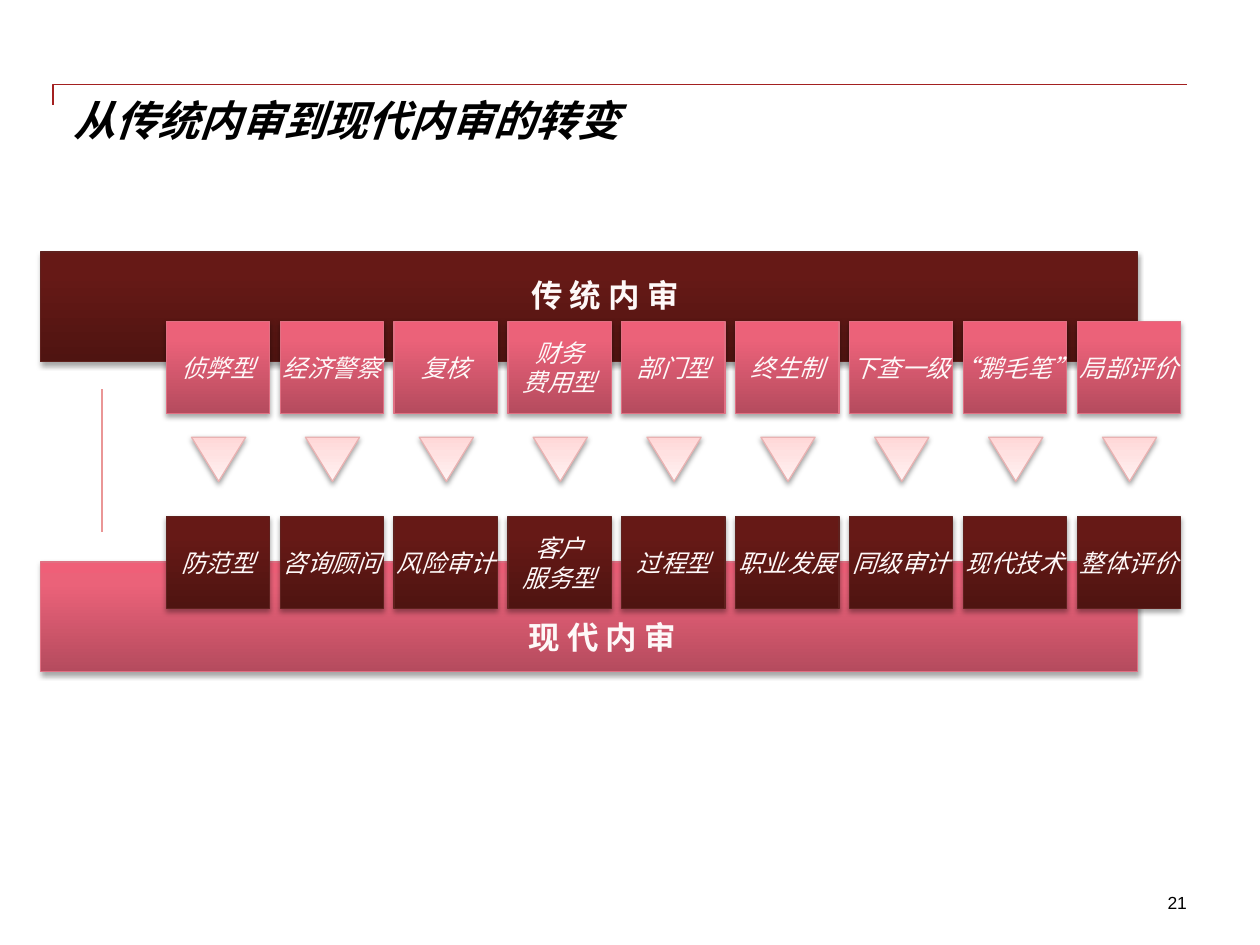
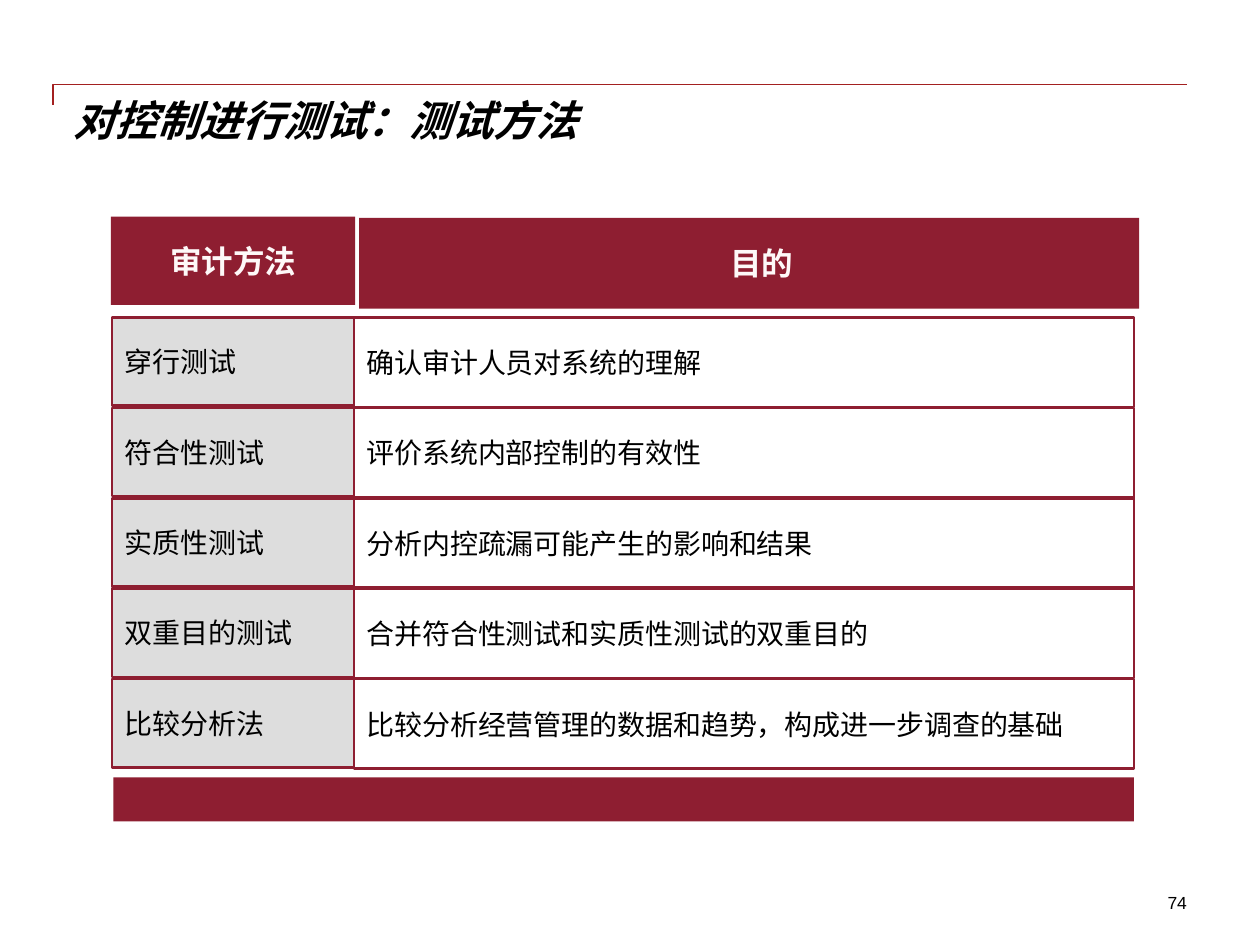
from dataclasses import dataclass

from lxml.etree import SubElement
from pptx import Presentation
from pptx.dml.color import RGBColor
from pptx.enum.shapes import MSO_CONNECTOR as Connector, MSO_SHAPE as Shape
from pptx.enum.text import MSO_ANCHOR as Anchor, PP_ALIGN as Align
from pptx.oxml.ns import qn
from pptx.util import Inches, Pt


@dataclass(frozen=True)
class Gradient:
    stops: tuple
    border: str
    shadow_alpha: int = 35
    shadow_distance: float = 1.8


@dataclass(frozen=True)
class Theme:
    latin: str = "Arial"
    chinese: str = "Noto Sans CJK SC"
    ink: str = "000000"
    pale: str = "FEF8F8"
    rule: str = "A32020"
    divider: str = "EA9696"
    crimson: str = "8E1E31"
    grey: str = "DDDDDD"
    title_size: int = 24
    heading_size: int = 18
    cell_size: int = 16
    card_size: int = 14
    number_size: int = 10
    maroon: Gradient = Gradient(
        ((0, "4F1411"), (80, "661916"), (100, "681814")), "5F211E")
    pink: Gradient = Gradient(
        ((0, "B54B5E"), (80, "EB6279"), (100, "EF5F78")), "E07083")
    blush: Gradient = Gradient(
        ((0, "FFD6D6"), (35, "FFE1E1"), (100, "FFF3F3")), "E9B2B2", 38, 1.6)


THEME = Theme()

TRADITIONAL = ["侦弊型", "经济警察", "复核", "财务\n费用型", "部门型",
               "终生制", "下查一级", "“鹅毛笔”", "局部评价"]
MODERN = ["防范型", "咨询顾问", "风险审计", "客户\n服务型", "过程型",
          "职业发展", "同级审计", "现代技术", "整体评价"]
METHODS = [
    ("穿行测试", "确认审计人员对系统的理解"),
    ("符合性测试", "评价系统内部控制的有效性"),
    ("实质性测试", "分析内控疏漏可能产生的影响和结果"),
    ("双重目的测试", "合并符合性测试和实质性测试的双重目的"),
    ("比较分析法", "比较分析经营管理的数据和趋势，构成进一步调查的基础"),
]


def rgb(color):
    return RGBColor.from_string(color)


def spread(first, last, count):
    return [first + (last - first) * i / (count - 1) for i in range(count)]


def write(frame, text, size, color, font=THEME.chinese, align=Align.LEFT,
          bold=False, italic=False):
    frame.text = text
    for paragraph in frame.paragraphs:
        paragraph.alignment = align
        for run in paragraph.runs:
            run.font.name = font
            run.font.size = Pt(size)
            run.font.bold = bold
            run.font.italic = italic
            run.font.color.rgb = rgb(color)
            if font == THEME.chinese:
                east_asian = SubElement(run.font._element, qn("a:ea"))
                east_asian.set("typeface", font)


def clear_margins(frame):
    frame.margin_left = frame.margin_right = 0
    frame.margin_top = frame.margin_bottom = 0


def add_text(slide, box, text, size, color, **style):
    frame = slide.shapes.add_textbox(*map(Inches, box)).text_frame
    frame.word_wrap = True
    write(frame, text, size, color, **style)
    return frame


def add_block(slide, box, fill=None, border=None, kind=Shape.RECTANGLE):
    block = slide.shapes.add_shape(kind, *map(Inches, box))
    block.shadow.inherit = False
    if fill:
        block.fill.solid()
        block.fill.fore_color.rgb = rgb(fill)
    else:
        block.fill.background()
    if border:
        block.line.color.rgb = rgb(border)
        block.line.width = Pt(1.5)
    else:
        block.line.fill.background()
    return block


def label_block(block, text, size, color, **style):
    frame = block.text_frame
    frame.word_wrap = False
    frame.vertical_anchor = Anchor.MIDDLE
    write(frame, text, size, color, **style)
    return frame


def add_color(parent, color):
    element = SubElement(parent, qn("a:srgbClr"))
    element.set("val", color)
    return element


def add_glossy(slide, box, gradient, kind=Shape.RECTANGLE):
    glossy = add_block(slide, box, kind=kind)
    glossy.fill.gradient()
    glossy.fill.gradient_angle = 90
    properties = glossy._element.spPr
    stops = properties.find(".//" + qn("a:gsLst"))
    stops.clear()
    for position, color in gradient.stops:
        stop = SubElement(stops, qn("a:gs"))
        stop.set("pos", str(position * 1000))
        add_color(stop, color)
    glossy.line.color.rgb = rgb(gradient.border)
    glossy.line.width = Pt(0.75)
    shadow = SubElement(properties.find(qn("a:effectLst")), qn("a:outerShdw"))
    shadow.set("blurRad", str(Pt(3.1)))
    shadow.set("dist", str(Pt(gradient.shadow_distance)))
    shadow.set("dir", "5400000")
    shadow.set("rotWithShape", "0")
    alpha = SubElement(add_color(shadow, "000000"), qn("a:alpha"))
    alpha.set("val", str(gradient.shadow_alpha * 1000))
    return glossy


def add_corner_rule(slide):
    outline = slide.shapes.build_freeform(Inches(0.42), Inches(0.83))
    outline.add_line_segments(
        [(Inches(0.42), Inches(0.67)), (Inches(9.42), Inches(0.67))], close=False)
    corner = outline.convert_to_shape()
    corner.shadow.inherit = False
    corner.fill.background()
    corner.line.color.rgb = rgb(THEME.rule)
    corner.line.width = Pt(1)


def add_slide(deck, heading, number):
    slide = deck.slides.add_slide(deck.slide_layouts[5])
    add_corner_rule(slide)
    title = slide.shapes.title
    title.left, title.top = Inches(0.58), Inches(0.75)
    title.width, title.height = Inches(8.83), Inches(1)
    clear_margins(title.text_frame)
    title.text_frame.vertical_anchor = Anchor.TOP
    write(title.text_frame, heading, THEME.title_size, THEME.ink,
          font=THEME.latin, bold=True, italic=True)
    clear_margins(add_text(slide, (7.75, 7.08, 1.67, 0.17), number,
                           THEME.number_size, THEME.ink, font=THEME.latin,
                           align=Align.RIGHT))
    return slide


def add_card_row(slide, labels, top, gradient):
    for left, label in zip(spread(1.32, 8.55, len(labels)), labels):
        card = add_glossy(slide, (left, top, 0.82, 0.73), gradient)
        label_block(card, label, THEME.card_size, THEME.pale,
                    align=Align.CENTER, italic=True)


def add_divider(slide):
    divider = slide.shapes.add_connector(
        Connector.STRAIGHT, Inches(0.81), Inches(3.09), Inches(0.81), Inches(4.22))
    divider.line.color.rgb = rgb(THEME.divider)
    divider.line.width = Pt(1)
    SubElement(divider._element.spPr, qn("a:effectLst"))


def build_transition(deck):
    slide = add_slide(deck, "从传统内审到现代内审的转变", "21")
    add_glossy(slide, (0.32, 2, 8.71, 0.87), THEME.maroon)
    add_glossy(slide, (0.32, 4.46, 8.71, 0.87), THEME.pink)
    add_card_row(slide, TRADITIONAL, 2.55, THEME.pink)
    add_card_row(slide, MODERN, 4.1, THEME.maroon)
    for left in spread(1.52, 8.75, len(MODERN)):
        arrow = add_glossy(slide, (left, 3.47, 0.43, 0.35), THEME.blush,
                           Shape.ISOSCELES_TRIANGLE)
        arrow.rotation = 180
    add_divider(slide)
    for era, left, top in (("传 统 内 审", 3.64, 2.14), ("现 代 内 审", 3.62, 4.86)):
        add_text(slide, (left, top, 2.32, 0.4), era, THEME.heading_size,
                 THEME.pale, align=Align.CENTER, bold=True)


def build_methods(deck):
    slide = add_slide(deck, "对控制进行测试：测试方法", "74")
    for top, (method, purpose) in zip(spread(2.52, 5.39, len(METHODS)), METHODS):
        for box, text, fill in (((0.89, top, 1.92, 0.7), method, THEME.grey),
                                ((2.81, top, 6.19, 0.71), purpose, None)):
            cell = add_block(slide, box, fill, THEME.crimson)
            label_block(cell, text, THEME.cell_size, THEME.ink)
    for box, heading, indent in (((0.88, 1.72, 1.94, 0.7), "审计方法", 0.1),
                                 ((2.85, 1.73, 6.19, 0.72), "目的", 0.3)):
        header = add_block(slide, box, THEME.crimson)
        frame = label_block(header, heading, THEME.heading_size, THEME.pale,
                            align=Align.CENTER, bold=True)
        frame.margin_left = Inches(indent)
    add_block(slide, (0.9, 6.17, 8.1, 0.35), THEME.crimson)


def main():
    deck = Presentation()
    deck.slide_width, deck.slide_height = Inches(10), Inches(7.5)
    build_transition(deck)
    build_methods(deck)
    deck.save("out.pptx")


if __name__ == "__main__":
    main()
